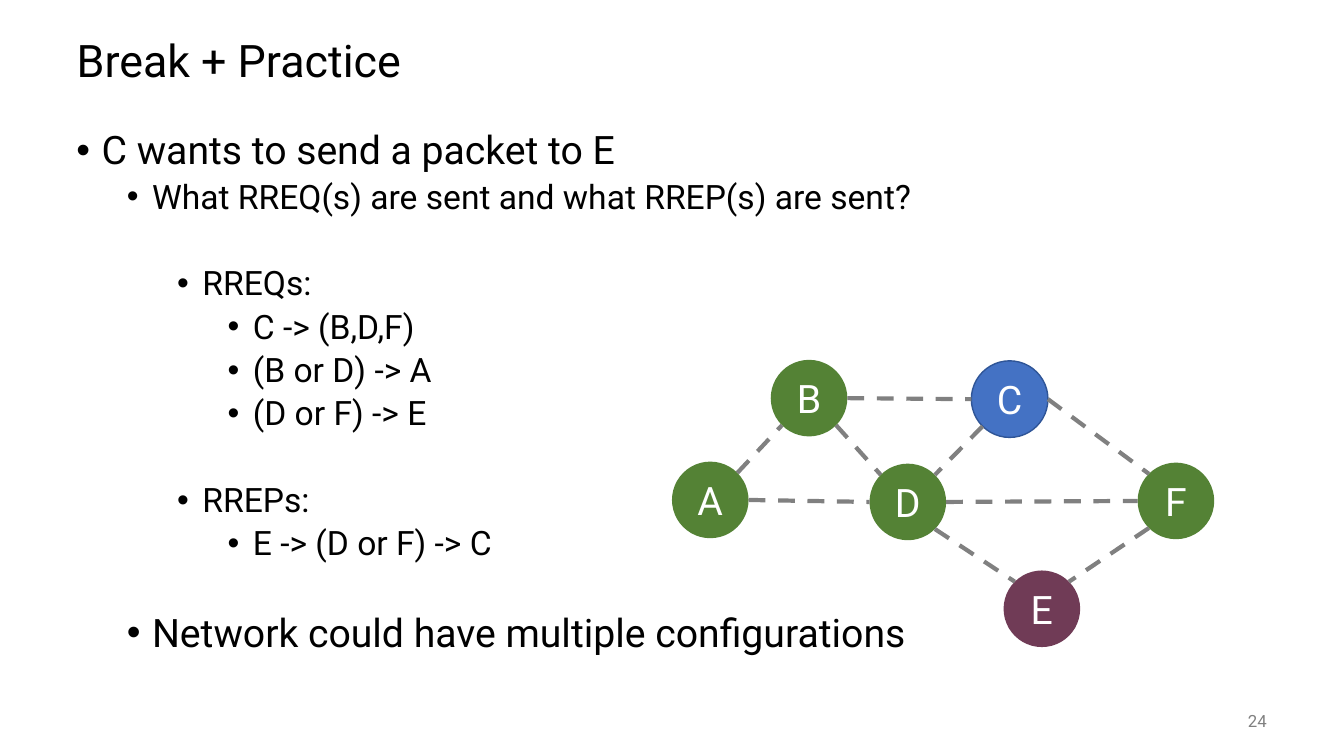
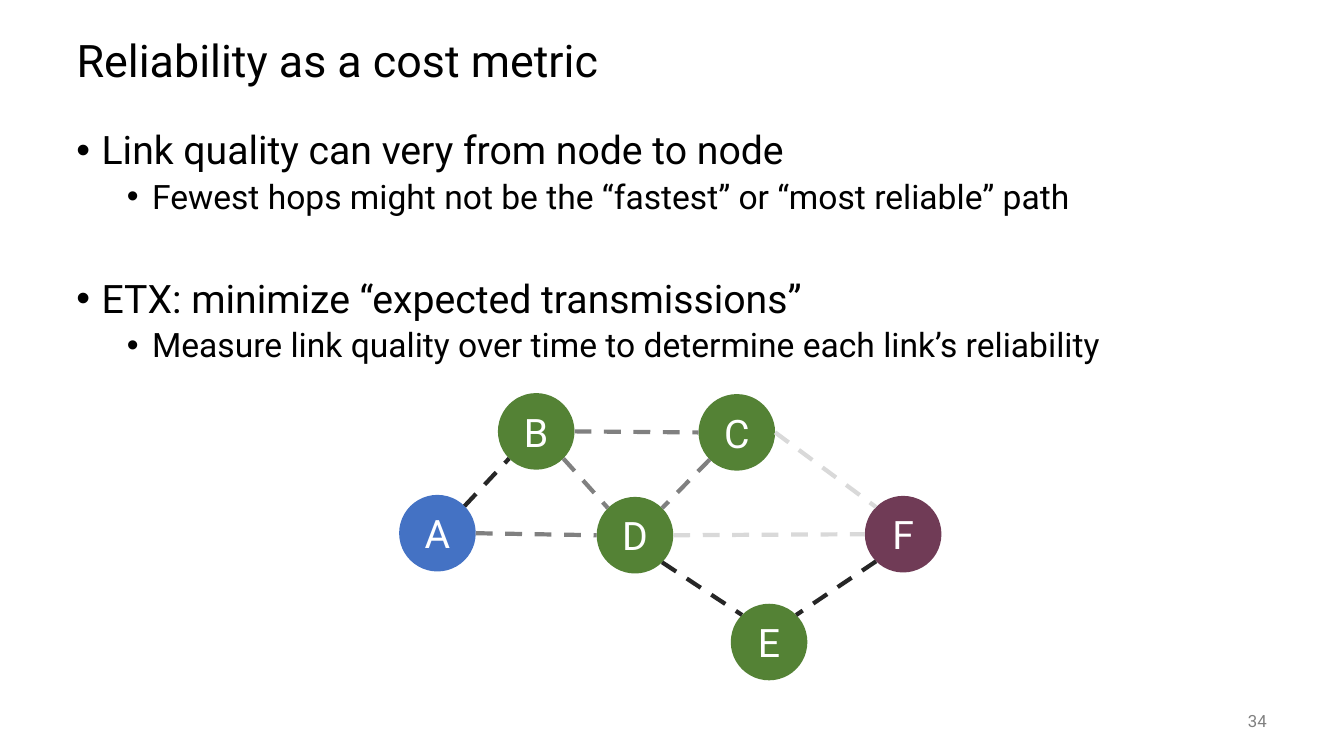
from dataclasses import dataclass, field
from math import sqrt

from lxml import etree
from pptx import Presentation
from pptx import util as u
from pptx.dml import color as c
from pptx.enum import dml, shapes, text
from pptx.oxml import ns

COLUMNS = 40
SLIDE_WIDTH = u.Inches(13.333)
SLIDE_HEIGHT = u.Inches(7.5)
CELL = SLIDE_WIDTH / COLUMNS
FONT = "Roboto"
COLORS = {
    "ink": "000000",
    "paper": "FFFFFF",
    "muted": "808080",
    "strong": "262626",
    "weak": "D9D9D9",
    "relay": "548235",
    "source": "4472C4",
    "source_edge": "2F5597",
    "target": "703B56",
}

TITLE_AREA = (1.98, 0.75, 36, 2.25)
BODY_AREA = (1.98, 3.75, 36, 16.5)
NUMBER_AREA = (35, 20.85, 3, 1.2)
BULLET_INDENT = 0.25
LEVEL_STEP = 0.5
LINE_SPACING = 0.9
NODE_SIZE = 2.28
NODE_OFFSETS = {
    "A": (0, 0),
    "B": (2.94, -3.03),
    "C": (8.91, -3),
    "D": (5.88, 0.06),
    "E": (9.87, 3.24),
    "F": (13.86, 0.03),
}
COMPASS = {"N": (0, -1), "S": (0, 1), "E": (1, 0), "W": (-1, 0)}


@dataclass(frozen=True)
class Bullet:
    words: str
    level: int = 0
    size: int = 24
    before: int = 5


@dataclass(frozen=True)
class Link:
    start: str
    leave: str
    end: str
    arrive: str


LINKS = [
    Link("A", "NE", "B", "SW"),
    Link("B", "E", "C", "W"),
    Link("B", "SE", "D", "NW"),
    Link("C", "SW", "D", "NE"),
    Link("C", "E", "F", "NW"),
    Link("D", "E", "F", "W"),
    Link("D", "SE", "E", "NW"),
    Link("F", "SW", "E", "NE"),
    Link("A", "E", "D", "W"),
]


@dataclass(frozen=True)
class Network:
    column: float
    row: float
    source: str
    target: str
    outlined: str = ""
    link_tones: dict[str, str] = field(default_factory=dict)


@dataclass(frozen=True)
class Topic:
    title: str
    number: int
    bullets: list[Bullet]
    network: Network


TOPICS = [
    Topic(
        "Break + Practice",
        24,
        [
            Bullet("C wants to send a packet to E", size=28, before=0),
            Bullet("What RREQ(s) are sent and what RREP(s) are sent?", 1),
            Bullet("RREQs:", 2, before=36),
            Bullet("C -> (B,D,F)", 3),
            Bullet("(B or D) -> A", 3),
            Bullet("(D or F) -> E", 3),
            Bullet("RREPs:", 2, before=36),
            Bullet("E -> (D or F) -> C", 3),
            Bullet("Network could have multiple configurations", 1, 28, 36),
        ],
        Network(20, 13.74, source="C", target="E", outlined="C"),
    ),
    Topic(
        "Reliability as a cost metric",
        34,
        [
            Bullet("Link quality can very from node to node", size=28, before=0),
            Bullet("Fewest hops might not be the “fastest” or “most reliable” path", 1),
            Bullet("ETX: minimize “expected transmissions”", size=28, before=45),
            Bullet("Measure link quality over time to determine each link’s reliability", 1),
        ],
        Network(
            11.88, 14.73, source="A", target="F",
            link_tones={"AB": "strong", "DE": "strong", "FE": "strong",
                        "CF": "weak", "DF": "weak"},
        ),
    ),
]


def cells(*values: float) -> list[int]:
    return [round(value * CELL) for value in values]


def rgb(name: str) -> c.RGBColor:
    return c.RGBColor.from_string(COLORS[name])


def add_span(para, words: str, size: int, color: str) -> None:
    span = para.add_run()
    span.text = words
    span.font.name = FONT
    span.font.size = u.Pt(size)
    span.font.color.rgb = rgb(color)


def add_box(page, area: tuple):
    frame = page.shapes.add_textbox(*cells(*area)).text_frame
    frame.word_wrap = True
    return frame


def write_title(page, words: str) -> None:
    title = page.shapes.title
    title.left, title.top, title.width, title.height = cells(*TITLE_AREA)
    frame = title.text_frame
    frame.auto_size = text.MSO_AUTO_SIZE.NONE
    frame.vertical_anchor = text.MSO_ANCHOR.MIDDLE
    para = frame.paragraphs[0]
    para.alignment = text.PP_ALIGN.LEFT
    para.line_spacing = LINE_SPACING
    add_span(para, words, 32, "ink")


def write_bullets(page, bullets: list[Bullet]) -> None:
    frame = add_box(page, BODY_AREA)
    for index, bullet in enumerate(bullets):
        para = frame.add_paragraph() if index else frame.paragraphs[0]
        para.level = bullet.level
        properties = para._p.get_or_add_pPr()
        properties.set("marL", str(u.Inches(BULLET_INDENT + bullet.level * LEVEL_STEP)))
        properties.set("indent", str(-u.Inches(BULLET_INDENT)))
        etree.SubElement(properties, ns.qn("a:buFont"), typeface="Arial")
        etree.SubElement(properties, ns.qn("a:buChar"), char="•")
        para.line_spacing = LINE_SPACING
        para.space_before = u.Pt(bullet.before)
        add_span(para, bullet.words, bullet.size, "ink")


def write_number(page, number: int) -> None:
    frame = add_box(page, NUMBER_AREA)
    frame.vertical_anchor = text.MSO_ANCHOR.MIDDLE
    para = frame.paragraphs[0]
    para.alignment = text.PP_ALIGN.RIGHT
    add_span(para, str(number), 12, "muted")


def draw_node(page, network: Network, name: str) -> None:
    across, down = NODE_OFFSETS[name]
    node = page.shapes.add_shape(
        shapes.MSO_SHAPE.OVAL,
        *cells(network.column + across, network.row + down, NODE_SIZE, NODE_SIZE),
    )
    node.shadow.inherit = False
    roles = {network.source: "source", network.target: "target"}
    node.fill.solid()
    node.fill.fore_color.rgb = rgb(roles.get(name, "relay"))
    if name == network.outlined:
        node.line.color.rgb = rgb("source_edge")
        node.line.width = u.Pt(1)
    else:
        node.line.fill.background()
    frame = node.text_frame
    frame.vertical_anchor = text.MSO_ANCHOR.MIDDLE
    para = frame.paragraphs[0]
    para.alignment = text.PP_ALIGN.CENTER
    add_span(para, name, 28, "paper")


def rim_point(network: Network, name: str, direction: str) -> list[int]:
    across, down = NODE_OFFSETS[name]
    radius = NODE_SIZE / 2
    reach = radius / sqrt(len(direction))
    return cells(
        network.column + across + radius + reach * sum(COMPASS[d][0] for d in direction),
        network.row + down + radius + reach * sum(COMPASS[d][1] for d in direction),
    )


def draw_link(page, network: Network, link: Link) -> None:
    line = page.shapes.add_connector(
        shapes.MSO_CONNECTOR.STRAIGHT,
        *rim_point(network, link.start, link.leave),
        *rim_point(network, link.end, link.arrive),
    )
    line.line.color.rgb = rgb(network.link_tones.get(link.start + link.end, "muted"))
    line.line.width = u.Pt(3)
    line.line.dash_style = dml.MSO_LINE.DASH
    etree.SubElement(line._element.spPr, ns.qn("a:effectLst"))


def build_page(deck, topic: Topic) -> None:
    page = deck.slides.add_slide(deck.slide_layouts.get_by_name("Title Only"))
    write_title(page, topic.title)
    write_bullets(page, topic.bullets)
    write_number(page, topic.number)
    for name in NODE_OFFSETS:
        draw_node(page, topic.network, name)
    for link in LINKS:
        draw_link(page, topic.network, link)


def main() -> None:
    deck = Presentation()
    deck.slide_width = SLIDE_WIDTH
    deck.slide_height = SLIDE_HEIGHT
    for topic in TOPICS:
        build_page(deck, topic)
    deck.save("out.pptx")


if __name__ == "__main__":
    main()
